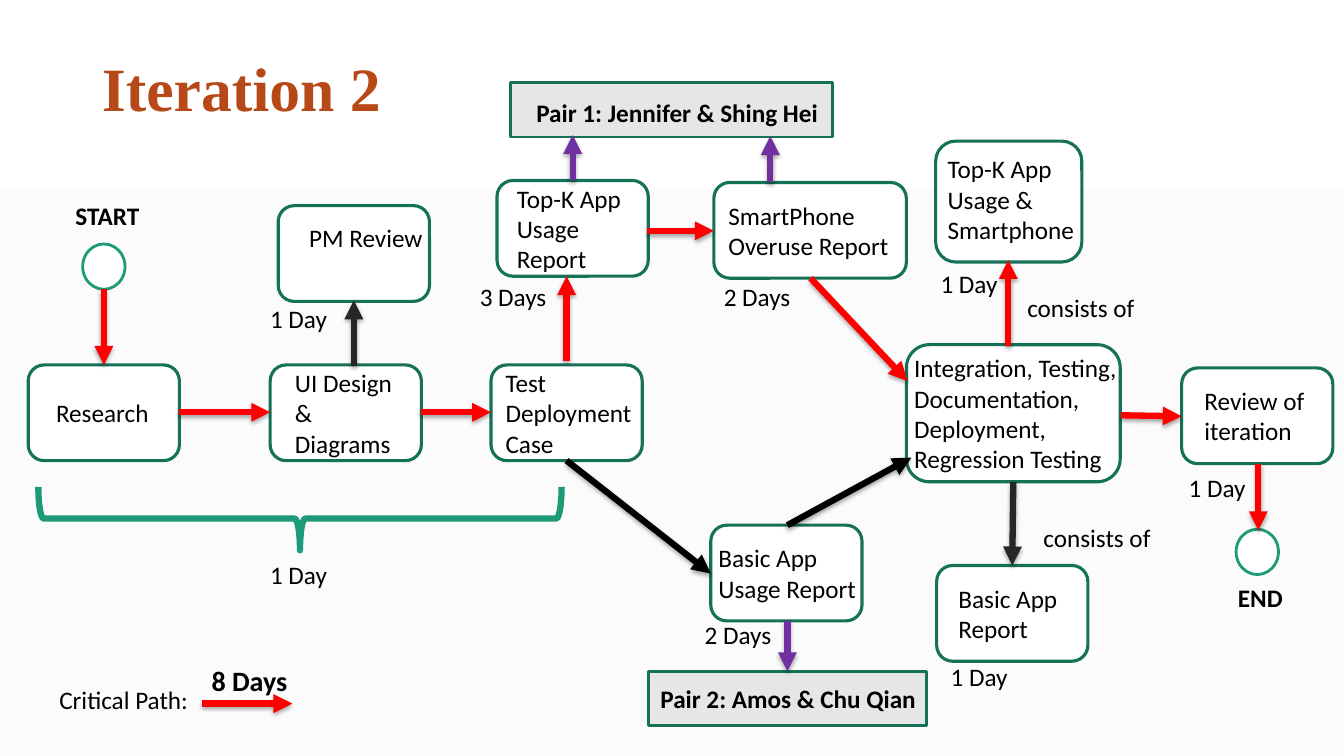
from lxml.etree import fromstring
from pptx import Presentation
from pptx.dml.color import RGBColor
from pptx.enum.shapes import MSO_CONNECTOR, MSO_SHAPE
from pptx.enum.text import MSO_ANCHOR, PP_ALIGN
from pptx.oxml import parse_xml
from pptx.util import Inches, Pt

HEX = {"ink": "000000", "white": "FFFFFF", "haze": "FBFBFB", "grey": "E7E6E6",
       "rust": "B74919", "pine": "157259", "teal": "1D9A78", "red": "FF0000",
       "coal": "262626", "plum": "7030A0"}
RGB = {name: RGBColor.from_string(code) for name, code in HEX.items()}
NS = 'xmlns:a="http://schemas.openxmlformats.org/drawingml/2006/main"'
SHADE = (f'<a:effectLst {NS}><a:outerShdw blurRad="40000" dist="23000" dir="5400000" '
         'rotWithShape="0"><a:srgbClr val="000000"><a:alpha val="35000"/></a:srgbClr>'
         '</a:outerShdw></a:effectLst>')
HEAD = f'<a:tailEnd {NS} type="triangle"/>'

deck = Presentation()
deck.slide_width, deck.slide_height = Inches(13.33), Inches(7.5)
slide = deck.slides.add_slide(deck.slide_layouts[5])
shapes = slide.shapes

# Background
fill = slide.background.fill
fill.gradient()
fill.gradient_angle = 270
for stop, name, place in zip(fill.gradient_stops, ("white", "haze"), (0, 0.5)):
    stop.color.rgb, stop.position = RGB[name], place


def write(shape, text, ink="ink", insets=(0.1, 0.05, 0.1, 0.05),
          anchor=MSO_ANCHOR.TOP, **style):
    frame = shape.text_frame
    frame.text = text
    sides = ("margin_left", "margin_top", "margin_right", "margin_bottom")
    form = dict(zip(sides, map(Inches, insets)), word_wrap=True, vertical_anchor=anchor)
    for key, value in form.items():
        setattr(frame, key, value)
    para = frame.paragraphs[0]
    para.alignment = PP_ALIGN.LEFT
    font = para.runs[0].font
    for key, value in ({"name": "Calibri", "size": Pt(18), "bold": False} | style).items():
        setattr(font, key, value)
    font.color.rgb = RGB[ink]


def draw(kind, box, line, width, paint=None):
    shape = shapes.add_shape(kind, *map(Inches, box))
    shape.shadow.inherit = False
    if paint:
        shape.fill.solid()
        shape.fill.fore_color.rgb = RGB[paint]
    else:
        shape.fill.background()
    shape.line.color.rgb, shape.line.width = RGB[line], Pt(width)
    return shape


# Title
title = shapes.title
for key, value in zip(("left", "top", "width", "height"), (0.91, 0.18, 11.5, 1.45)):
    setattr(title, key, Inches(value))
write(title, "Iteration 2", "rust", anchor=MSO_ANCHOR.MIDDLE,
      name="Times New Roman", size=Pt(44), bold=True)
title.text_frame.paragraphs[0].line_spacing = 0.9

# Task boxes: left, top, width, height, text, left inset, right inset, bottom inset
W, H = 1.5, 0.95
TASKS = [
    (0.28, 3.62, W, H, "Research", 0.23, 0, 0),
    (2.68, 3.62, W, H, "UI Design & Diagrams", 0.2, 0.2, 0),
    (4.87, 3.62, W, H, "Test Deployment Case", 0.1, -0.05, 0),
    (2.76, 2.04, W, H, "PM Review", 0.26, -0.05, 0.32),
    (4.93, 1.79, W, H, "Top-K App Usage Report", 0.15, 0, 0),
    (7.08, 1.81, 1.91, H, "SmartPhone Overuse Report", 0.1, 0, 0),
    (7.05, 5.21, W, H, "Basic App Usage Report", 0.03, -0.05, 0),
    (8.99, 3.42, 2.12, 1.36,
     "Integration, Testing, Documentation, Deployment, Regression Testing", 0.01, -0.06, 0),
    (9.28, 1.4, 1.45, 1.2, "Top-K App Usage & Smartphone", 0.06, -0.05, 0.05),
    (9.29, 5.61, W, H, "Basic App Report", 0.17, 0, 0),
    (11.72, 3.65, W, H, "Review of iteration", 0.18, 0, 0),
]
for *box, text, left, right, low in TASKS:
    task = draw(MSO_SHAPE.ROUNDED_RECTANGLE, box, "pine", 2.25, "white")
    write(task, text, insets=(left, 0, right, low), anchor=MSO_ANCHOR.MIDDLE)

# Pairs
PAIRS = [(5.06, 0.82, 3.2, "Pair 1: Jennifer & Shing Hei", 0.26, 0.05),
         (6.43, 6.66, 2.76, "Pair 2: Amos & Chu Qian", 0.12, 0)]
for x, y, wide, text, left, drop in PAIRS:
    pair = draw(MSO_SHAPE.RECTANGLE, (x, y, wide, 0.54), "pine", 2, "grey")
    write(pair, text, insets=(left, drop, 0, 0), anchor=MSO_ANCHOR.MIDDLE, bold=True)

# Start and end circles
for x, y in ((0.82, 2.42), (12.26, 5.25)):
    draw(MSO_SHAPE.OVAL, (x, y, 0.42, 0.45), "teal", 2, "white")

# Brace under the first three tasks
brace = draw(MSO_SHAPE.RIGHT_BRACE, (2.66, 2.55, 0.63, 5.19), "teal", 4.5)
brace.rotation = 90

# Arrows by colour: from x, y to x, y
ARROWS = {
    "red": [(1.78, 4.09, 2.68, 4.09), (4.18, 4.09, 4.87, 4.09), (11.12, 4.12, 11.72, 4.13),
            (5.62, 3.58, 5.62, 2.74), (6.42, 2.29, 7.08, 2.29), (1.03, 2.87, 1.03, 3.62),
            (12.48, 4.6, 12.48, 5.26), (10, 3.43, 10, 2.58), (8.04, 2.76, 9, 3.78),
            (2, 6.98, 2.9, 6.98)],
    "ink": [(5.62, 4.57, 7.05, 5.69), (7.81, 5.21, 9.04, 4.54)],
    "coal": [(3.51, 3.63, 3.51, 2.98), (10.05, 4.78, 10.04, 5.61)],
    "plum": [(5.68, 1.79, 5.68, 1.34), (7.64, 1.81, 7.64, 1.35), (7.81, 6.16, 7.81, 6.66)],
}
for name, paths in ARROWS.items():
    for ends in paths:
        arrow = shapes.add_connector(MSO_CONNECTOR.STRAIGHT, *map(Inches, ends))
        arrow.line.color.rgb, arrow.line.width = RGB[name], Pt(4.5)
        arrow.line._get_or_add_ln().append(parse_xml(HEAD))
        arrow._element.spPr.append(parse_xml(SHADE))

# Labels: left, top, width, text, format
BOLD = {"bold": True}
LABELS = [
    (2.58, 5.5, 1.08, "1 Day", {}), (2.58, 2.96, 1.08, "1 Day", {}),
    (4.66, 2.74, 1.08, "3 Days", {}), (7.08, 2.74, 1.08, "2 Days", {}),
    (6.89, 6.09, 1.08, "2 Days", {}), (11.69, 4.64, 1.08, "1 Day", {}),
    (9.23, 2.61, 1.08, "1 Day", {}), (9.33, 6.51, 1.08, "1 Day", {}),
    (10.09, 2.85, 1.39, "consists of", {}), (10.25, 5.13, 1.39, "consists of", {}),
    (0.65, 1.94, 0.99, "START", BOLD), (12.18, 5.73, 0.83, "END", BOLD),
    (0.49, 6.74, 1.6, "Critical Path:", {}),
    (2, 6.53, 1, "8 Days", BOLD | {"size": Pt(20)}),
]
for x, y, wide, text, style in LABELS:
    write(shapes.add_textbox(*map(Inches, (x, y, wide, 0.4))), text, **style)

deck.save("out.pptx")
